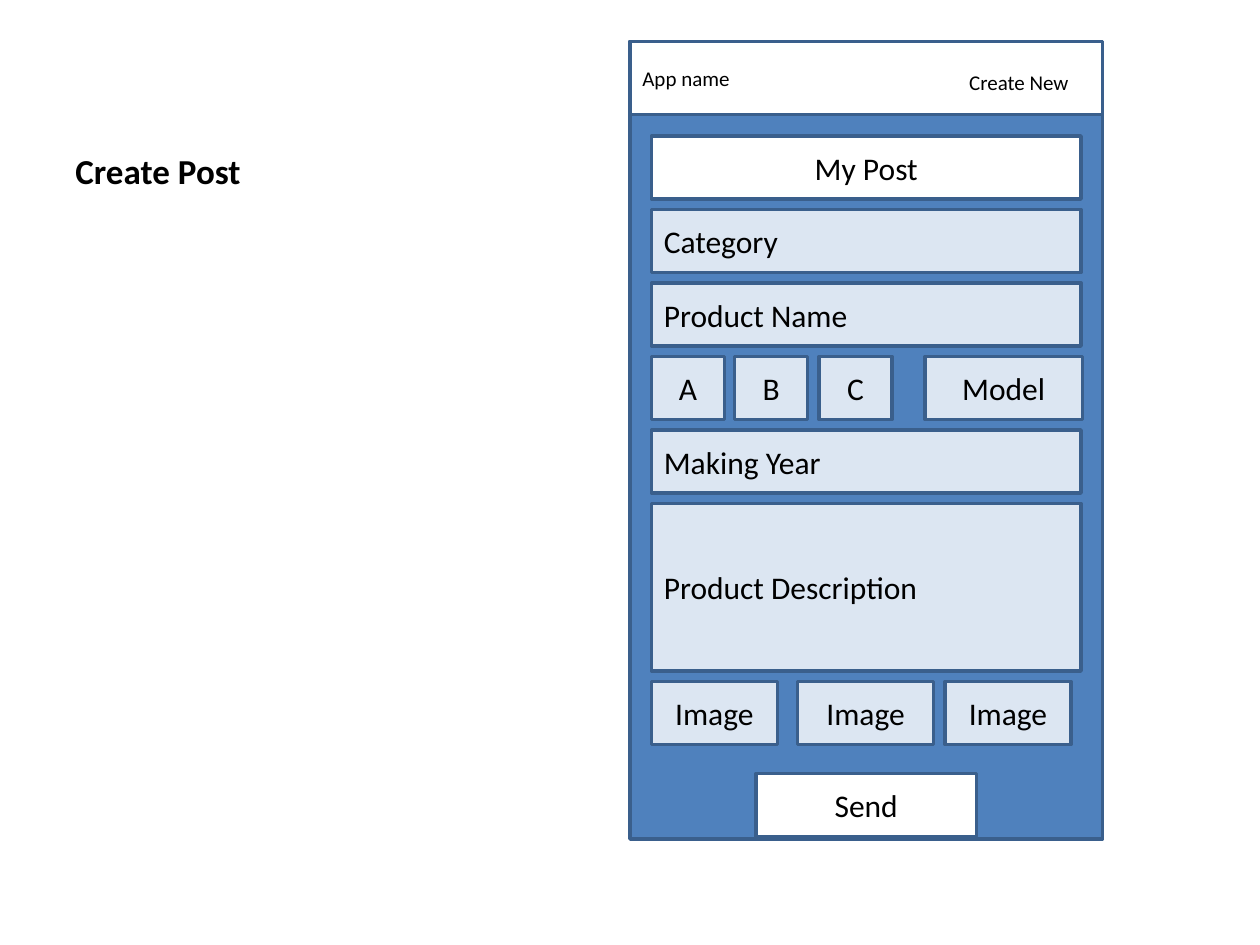
from pptx import Presentation
from pptx.dml.color import RGBColor
from pptx.enum.shapes import MSO_SHAPE
from pptx.enum.text import MSO_ANCHOR, PP_ALIGN
from pptx.util import Inches, Pt

RECT = MSO_SHAPE.RECTANGLE
TOP, MID, LOW = MSO_ANCHOR.TOP, MSO_ANCHOR.MIDDLE, MSO_ANCHOR.BOTTOM
LEFT, MIDST, RIGHT = PP_ALIGN.LEFT, PP_ALIGN.CENTER, PP_ALIGN.RIGHT
WHITE, PALE, BLUE, EDGE, BLACK = "FFFFFF", "DCE6F2", "4F81BD", "3A5F8C", "000000"
GAP = 1 / 12
WIDE = 3.41
FIELDS = [
    (0.5, WHITE, MIDST, [("My Post", 0, WIDE)]),
    (0.5, PALE, LEFT, [("Category", 0, WIDE)]),
    (0.5, PALE, LEFT, [("Product Name", 0, WIDE)]),
    (0.5, PALE, MIDST, [("A", 0, 0.58), ("B", 0.66, 0.58),
                        ("C", 1.33, 0.58), ("Model", 2.17, 1.25)]),
    (0.5, PALE, LEFT, [("Making Year", 0, WIDE)]),
    (1.33, PALE, LEFT, [("Product Description", 0, WIDE)]),
    (0.5, PALE, MIDST, [("Image", 0, 1), ("Image", 1.16, 1.08),
                        ("Image", 2.33, 1)]),
]


def color(code):
    """Turn a hex string into a colour."""
    return RGBColor.from_string(code)


def write(shape, text, size=18, align=LEFT, anchor=MID, bold=False):
    """Put one line of text in a shape."""
    frame = shape.text_frame
    para = frame.paragraphs[0]
    run = para.add_run()
    frame.word_wrap = True
    frame.vertical_anchor = anchor
    para.alignment = align
    run.text = text
    style = {"name": "Calibri", "size": Pt(size), "bold": bold}
    for key, value in style.items():
        setattr(run.font, key, value)
    run.font.color.rgb = color(BLACK)


def panel(slide, box, fill):
    """Draw a filled, outlined box."""
    shape = slide.shapes.add_shape(RECT, *map(Inches, box))
    shape.shadow.inherit = False
    shape.fill.solid()
    shape.fill.fore_color.rgb = color(fill)
    shape.line.color.rgb = color(EDGE)
    shape.line.width = Pt(2)
    return shape


def label(slide, box, text, **style):
    """Place free text in a box."""
    write(slide.shapes.add_textbox(*map(Inches, box)), text, **style)


def header(slide, box):
    """Draw the bar at the top of the phone."""
    left, top, width, _ = box
    write(panel(slide, box, WHITE), "App name", size=12)
    label(slide, (left + width - 1.5, top + 0.17, 1.33, 0.3), "Create New",
          size=12, align=RIGHT, anchor=TOP)


def form(slide, left, top):
    """Stack the rows of form fields."""
    for high, fill, align, cells in FIELDS:
        for text, shift, width in cells:
            field = panel(slide, (left + shift, top, width, high), fill)
            write(field, text, align=align)
        top += high + GAP


def phone(slide, box):
    """Draw the phone screen with its header, form and button."""
    left, top, width, high = box
    panel(slide, box, BLUE)
    header(slide, (left, top, width, 0.58))
    form(slide, left + 0.17, top + 0.75)
    send = panel(slide, (left + 1, top + high - 0.52, 1.75, 0.5), WHITE)
    write(send, "Send", align=MIDST)


def main():
    """Build and save the slide."""
    deck = Presentation()
    deck.slide_width, deck.slide_height = Inches(10), Inches(7.5)
    slide = deck.slides.add_slide(deck.slide_layouts[6])
    label(slide, (0.5, 0.3, 3.29, 1.27), "Create Post",
          size=20, anchor=LOW, bold=True)
    phone(slide, (5, 0.33, 3.75, 6.33))
    deck.save("out.pptx")


main()
